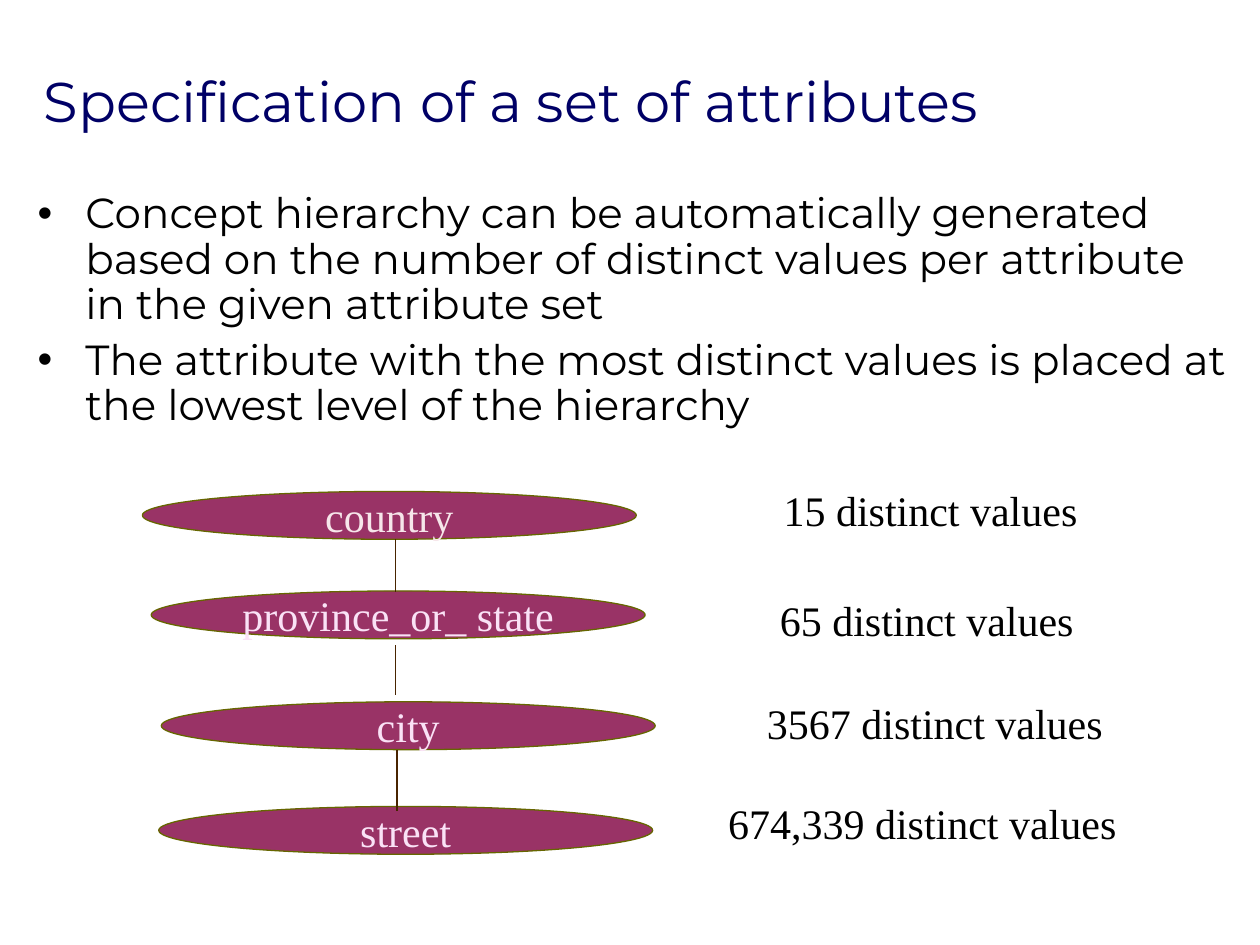
from lxml.etree import SubElement
from pptx import Presentation
from pptx.dml.color import RGBColor as Rgb
from pptx.enum.shapes import MSO_CONNECTOR as Connector, MSO_SHAPE as Shape
from pptx.enum.text import MSO_ANCHOR as Anchor, MSO_AUTO_SIZE as AutoSize, PP_ALIGN as Align
from pptx.oxml.ns import qn
from pptx.util import Inches, Pt

COLORS = {
    "title": "000066", "text": "000000", "oval": "993366", "outline": "666600",
    "link": "482400", "top_label": "F6E6EA", "label": "FAE2F6",
}
SANS, SERIF = "Montserrat", "Times New Roman"

deck = Presentation()
deck.slide_width, deck.slide_height = Inches(10), Inches(7.5)
COL, ROW = deck.slide_width / 100, deck.slide_height / 75
slide = deck.slides.add_slide(deck.slide_layouts[6])


def on_grid(left, top, width, height):
    return [round(left * COL), round(top * ROW), round(width * COL), round(height * ROW)]


def write(shape, lines, font, size, color, align=Align.LEFT, anchor=Anchor.TOP, wrap=True):
    frame = shape.text_frame
    frame.text = "\n".join(lines)
    frame.word_wrap = wrap
    frame.vertical_anchor = anchor
    for paragraph in frame.paragraphs:
        paragraph.alignment = align
        for run in paragraph.runs:
            run.font.name = font
            run.font.size = Pt(size)
            run.font.color.rgb = Rgb.from_string(COLORS[color])
    return frame.paragraphs


title = slide.shapes.add_textbox(*on_grid(2.5, 5.3, 94.2, 5.8))
write(title, ["Specification of a set of attributes"], SANS, 32, "title", anchor=Anchor.BOTTOM)

body = slide.shapes.add_textbox(*on_grid(2, 14.8, 96.5, 20.8))
points = write(body, [
    "Concept hierarchy can be automatically generated based on the number of "
    "distinct values per attribute in the given attribute set",
    "The attribute with the most distinct values is placed at the lowest level of the hierarchy",
], SANS, 24, "text")
for point in points:
    point.line_spacing = 0.9
    point.space_before = Pt(6)
    props = point._p.get_or_add_pPr()
    props.set("marL", str(Inches(0.38)))
    props.set("indent", str(-Inches(0.38)))
    SubElement(props, qn("a:buFont"), typeface="Arial")
    SubElement(props, qn("a:buChar"), char="•")

levels = [
    ("country", 11.3, 39, "top_label", "15 distinct values", 61.1, 38, 25.5, False),
    ("province_or_ state", 12, 46.9, "label", "65 distinct values", 60.8, 46.7, 25.5, True),
    ("city", 12.8, 55.7, "label", "3567 distinct values", 59.6, 54.9, 29.2, False),
    ("street", 12.6, 64, "label", "674,339 distinct values", 56.7, 62.8, 33, False),
]
for level, left, top, color, count, count_left, count_top, count_width, wrap in levels:
    oval = slide.shapes.add_shape(Shape.OVAL, *on_grid(left, top, 39.2, 3.8))
    oval.shadow.inherit = False
    oval.fill.solid()
    oval.fill.fore_color.rgb = Rgb.from_string(COLORS["oval"])
    oval.line.color.rgb = Rgb.from_string(COLORS["outline"])
    oval.line.width = Pt(0.75)
    write(oval, [level], SERIF, 24, color, Align.CENTER, Anchor.MIDDLE, wrap=False)

    tally = slide.shapes.add_textbox(*on_grid(count_left, count_top, count_width, 5))
    write(tally, [count], SERIF, 24, "text", Align.CENTER, wrap=wrap)
    tally.text_frame.auto_size = AutoSize.SHAPE_TO_FIT_TEXT

for x, start, end in [(31.4, 42.8, 47), (31.4, 51.2, 55.2), (31.5, 59.5, 64.4)]:
    link = slide.shapes.add_connector(Connector.STRAIGHT, *on_grid(x, start, x, end))
    link.line.color.rgb = Rgb.from_string(COLORS["link"])
    link.line.width = Pt(0.75)
    SubElement(link._element.spPr, qn("a:effectLst"))

deck.save("out.pptx")
